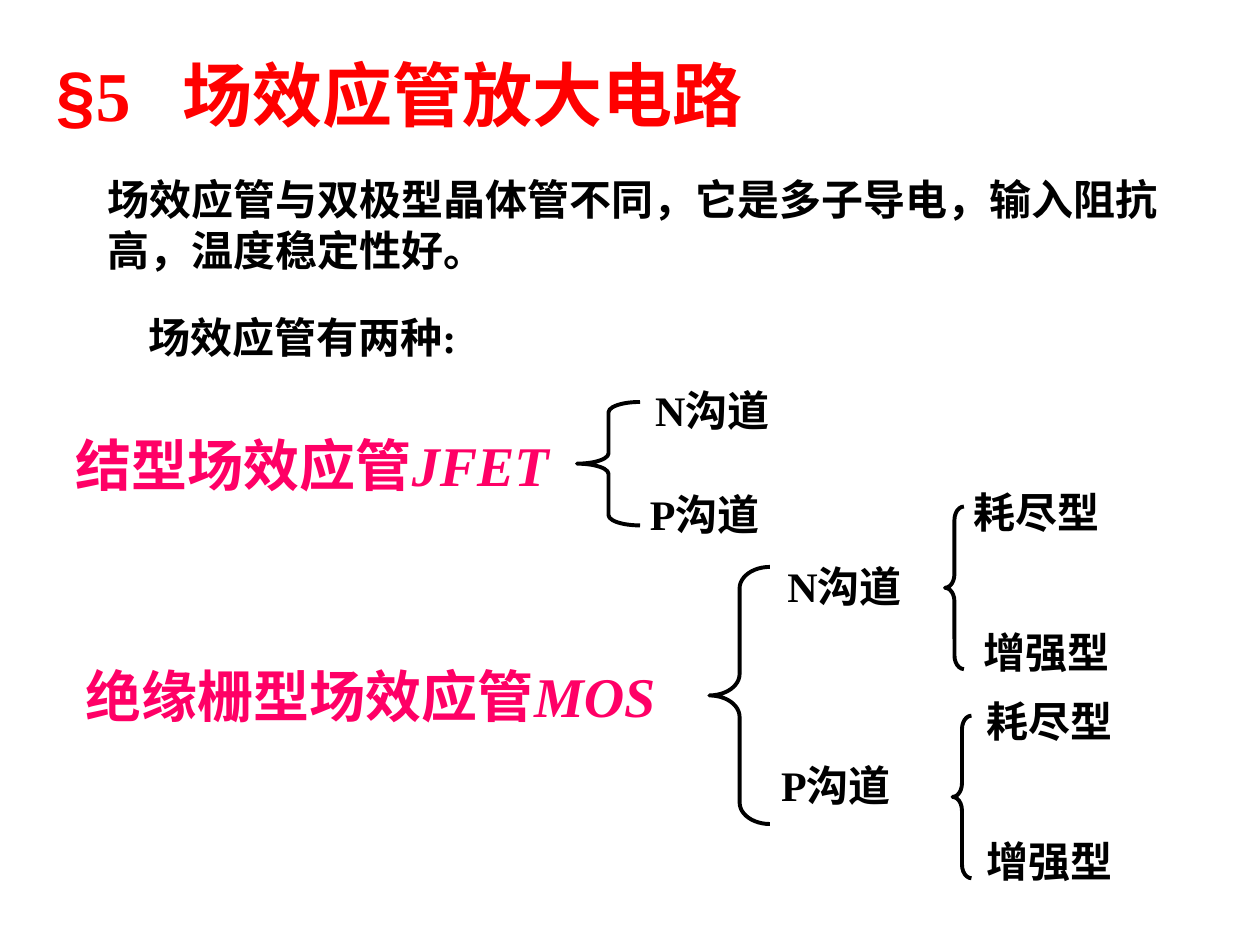
from lxml.etree import SubElement
from pptx import Presentation
from pptx.dml.color import RGBColor
from pptx.enum.shapes import MSO_SHAPE as Shape
from pptx.enum.text import MSO_ANCHOR as Anchor, MSO_AUTO_SIZE as AutoSize, PP_ALIGN as Align
from pptx.oxml.ns import qn
from pptx.util import Inches, Pt

BLACK = RGBColor(0, 0, 0)
RED = RGBColor(255, 0, 0)
PINK = RGBColor(255, 0, 102)
SERIF, SANS = "Times New Roman", "Arial"
LABEL_HEIGHT = 0.5


def place(shape, box):
    shape.left, shape.top, shape.width, shape.height = map(Inches, box)


def write(shape, *spans, size=24, color=BLACK, anchor=Anchor.TOP, tab=None):
    """Fill a shape with one paragraph of (text, font, italic) spans."""
    frame = shape.text_frame
    frame.word_wrap = True
    frame.auto_size = AutoSize.SHAPE_TO_FIT_TEXT
    frame.vertical_anchor = anchor
    para = frame.paragraphs[0]
    para.alignment = Align.LEFT
    para.space_before = Pt(0)
    props = para._p.get_or_add_pPr()
    props.set("marL", "0")
    props.set("indent", "0")
    SubElement(props, qn("a:buNone"))
    if tab:
        stops = SubElement(props, qn("a:tabLst"))
        SubElement(stops, qn("a:tab"), pos=str(Inches(tab)), algn="l")
    for text, font, italic in spans:
        span = para.add_run()
        span.text = text
        span.font.name, span.font.size = font, Pt(size)
        span.font.bold, span.font.italic = True, italic
        span.font.color.rgb = color


def add_label(page, box, *spans, **style):
    label = page.shapes.add_textbox(*map(Inches, box))
    write(label, *spans, **style)


def add_heading(page, box):
    title = page.shapes.title
    place(title, box)
    write(title, ("§", SANS, False), ("5\t", SERIF, False),
          ("场效应管放大电路", SANS, False), size=40, color=RED, tab=1)


def add_introduction(page, box):
    body = page.placeholders[1]
    place(body, box)
    write(body, ("场效应管与双极型晶体管不同，它是多子导电，输入阻抗高，温度稳定性好。", SERIF, False),
          anchor=Anchor.MIDDLE)


def add_family(page, box, name, short):
    add_label(page, box, (name, SERIF, False), (short, SERIF, True),
              size=32, color=PINK, anchor=Anchor.MIDDLE)


def add_branch(page, box, label_width, labels):
    """Draw a brace in the box; labels are offset from its top right corner."""
    left, top, width, height = box
    brace = page.shapes.add_shape(Shape.LEFT_BRACE, *map(Inches, box))
    brace.adjustments[0] = height / 12 / width  # each curl is a twelfth of the height
    brace.shadow.inherit = False
    brace.fill.background()
    brace.line.color.rgb = BLACK
    brace.line.width = Pt(2.25)
    for text, right, down in labels:
        label_box = (left + width + right, top + down, label_width, LABEL_HEIGHT)
        add_label(page, label_box, (text, SERIF, False))


def main():
    deck = Presentation()
    deck.slide_width, deck.slide_height = Inches(10), Inches(7.5)
    page = deck.slides.add_slide(deck.slide_layouts[1])

    # Heading and introduction
    add_heading(page, (0.35, 0.36, 7.06, 0.77))
    add_introduction(page, (0.75, 1.33, 8.6, 0.9))
    add_label(page, (1.08, 2.42, 4.15, LABEL_HEIGHT), ("场效应管有两种:", SERIF, False),
              anchor=Anchor.MIDDLE)

    # Junction family
    add_family(page, (0.5, 3.36, 4.98, 0.64), "结型场效应管", "JFET")
    add_branch(page, (4.58, 3.19, 0.5, 0.98), 1.29,
               [("N沟道", 0.02, -0.19), ("P沟道", -0.02, 0.64)])

    # Insulated-gate family, with the modes of each channel
    add_family(page, (0.58, 5.2, 4.98, 0.64), "绝缘栅型场效应管", "MOS")
    add_branch(page, (5.63, 4.5, 0.48, 2.04), 1.29,
               [("N沟道", 0.04, -0.1), ("P沟道", -0.01, 1.48)])
    for left, top, rights in ((7.5, 4.02, (-0.02, 0.06)), (7.56, 5.68, (0.02, 0.02))):
        modes = zip(("耗尽型", "增强型"), rights, (-0.21, 0.9))
        add_branch(page, (left, top, 0.15, 1.29), 1.48, modes)

    deck.save("out.pptx")


if __name__ == "__main__":
    main()
